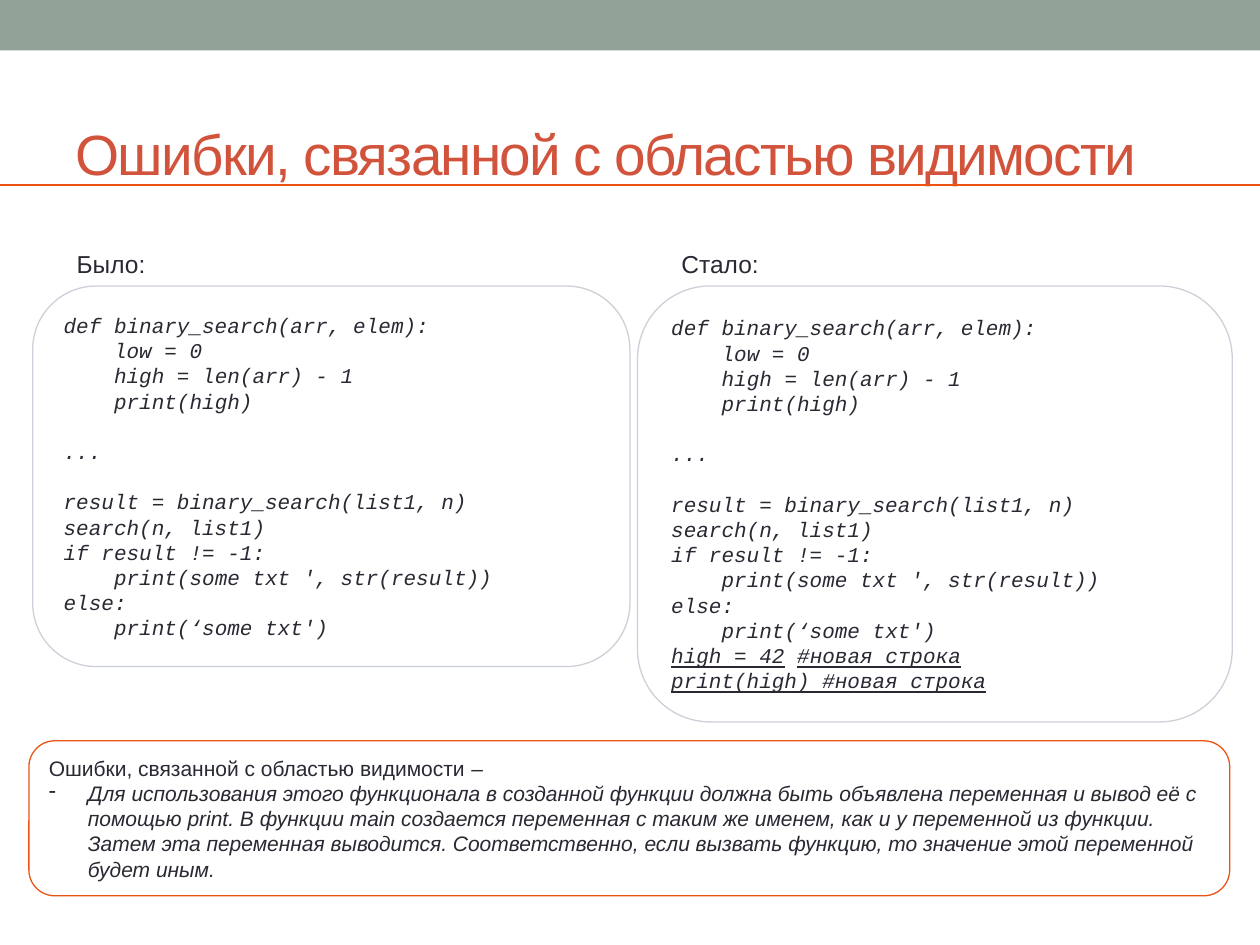
from lxml.etree import SubElement
from pptx import Presentation
from pptx.dml.color import RGBColor
from pptx.enum.shapes import MSO_CONNECTOR, MSO_SHAPE
from pptx.enum.text import MSO_ANCHOR, MSO_AUTO_SIZE, PP_ALIGN
from pptx.oxml.ns import qn
from pptx.util import Inches, Pt

TEXT = "292934"
ORANGE = "EC5214"
LINE_PITCH = 14.4
CODE_INDENT = 0.4

CODE_LINES = [
    (0, "def binary_search(arr, elem):"),
    (1, "low = 0"),
    (1, "high = len(arr) - 1"),
    (1, "print(high)"),
    (0, "..."),
    (0, "result = binary_search(list1, n)"),
    (0, "search(n, list1)"),
    (0, "if result != -1:"),
    (1, "print(some txt ', str(result))"),
    (0, "else:"),
    (1, "print(‘some txt')"),
]
NEW_LINES = [["high = 42", "\t", "#новая строка"], ["print(high) #новая строка"]]
SECTION_STARTS = ("...", "result")


def color(value):
    return RGBColor.from_string(value)


def add_run(paragraph, text, size=12, font="Arial", fill=TEXT, italic=False, underline=False):
    run = paragraph.add_run()
    run.text = text
    run.font.size = Pt(size)
    run.font.name = font
    run.font.color.rgb = color(fill)
    run.font.italic = italic
    run.font.underline = underline
    return run


def next_paragraph(frame):
    first = frame.paragraphs[0]
    paragraph = first if not first.runs else frame.add_paragraph()
    paragraph.alignment = PP_ALIGN.LEFT
    paragraph.line_spacing = Pt(LINE_PITCH)
    return paragraph


def set_indent(paragraph, left, first=0):
    properties = paragraph._p.get_or_add_pPr()
    properties.set("marL", str(Inches(left)))
    properties.set("indent", str(Inches(first)))
    return properties


def add_title(slide, text):
    title = slide.shapes.title
    title.left, title.top = Inches(0.5), Inches(0.92)
    title.width, title.height = Inches(9), Inches(1.08)
    frame = title.text_frame
    frame.auto_size = MSO_AUTO_SIZE.NONE
    frame.vertical_anchor = MSO_ANCHOR.TOP
    frame.margin_top = Inches(0.02)
    paragraph = frame.paragraphs[0]
    paragraph.alignment = PP_ALIGN.LEFT
    run = add_run(paragraph, text, 32.4, fill="D2533C")
    run.font._element.set("spc", "-100")


def add_band(slide):
    band = slide.shapes.add_shape(MSO_SHAPE.RECTANGLE, 0, 0, Inches(10), Inches(0.4))
    band.shadow.inherit = False
    band.fill.solid()
    band.fill.fore_color.rgb = color("93A299")
    band.line.fill.background()


def add_rule(slide):
    rule = slide.shapes.add_connector(
        MSO_CONNECTOR.STRAIGHT, 0, Inches(1.47), Inches(10), Inches(1.47))
    rule.line.color.rgb = color(ORANGE)
    rule.line.width = Pt(1.5)
    SubElement(rule._element.spPr, qn("a:effectLst"))


def add_label(slide, left, text):
    label = slide.shapes.add_textbox(Inches(left), Inches(1.93), Inches(1.1), Inches(0.34))
    label.text_frame.word_wrap = True
    add_run(label.text_frame.paragraphs[0], text, 14)


def add_panel(slide, left, top, width, height, line):
    panel = slide.shapes.add_shape(
        MSO_SHAPE.FLOWCHART_ALTERNATE_PROCESS,
        Inches(left), Inches(top), Inches(width), Inches(height))
    panel.shadow.inherit = False
    panel.fill.background()
    panel.line.color.rgb = color(line)
    panel.line.width = Pt(0.75)
    panel.text_frame.word_wrap = True
    panel.text_frame.vertical_anchor = MSO_ANCHOR.MIDDLE
    return panel.text_frame


def add_code_panel(slide, left, width, height, new_lines=()):
    frame = add_panel(slide, left, 2.27, width, height, "CCD1D9")
    for level, text in CODE_LINES:
        paragraph = next_paragraph(frame)
        set_indent(paragraph, level * CODE_INDENT)
        if text.startswith(SECTION_STARTS):
            paragraph.space_before = Pt(LINE_PITCH)
        add_run(paragraph, text, font="Courier New", italic=True)
    for pieces in new_lines:
        paragraph = next_paragraph(frame)
        for piece in pieces:
            add_run(paragraph, piece, font="Courier New", italic=True, underline=piece != "\t")


def add_explanation(slide):
    frame = add_panel(slide, 0.23, 5.88, 9.53, 1.23, ORANGE)
    heading = next_paragraph(frame)
    add_run(heading, "Ошибки, связанной с областью видимости ")
    add_run(heading, "–", italic=True)
    item = next_paragraph(frame)
    properties = set_indent(item, 0.31, -0.31)
    SubElement(properties, qn("a:buChar")).set("char", "-")
    add_run(
        item,
        "Для использования этого функционала в созданной функции должна быть объявлена "
        "переменная и вывод её с помощью print. В функции main создается переменная с таким "
        "же именем, как и у переменной из функции. Затем эта переменная выводится. "
        "Соответственно, если вызвать функцию, то значение этой переменной будет иным.",
        italic=True)


def main():
    presentation = Presentation()
    presentation.slide_width = Inches(10)
    presentation.slide_height = Inches(7.5)
    slide = presentation.slides.add_slide(presentation.slide_layouts[5])
    add_band(slide)
    add_title(slide, "Ошибки, связанной с областью видимости")
    add_rule(slide)
    add_code_panel(slide, 0.26, 4.74, 3.02)
    add_code_panel(slide, 5.06, 4.72, 3.46, NEW_LINES)
    add_label(slide, 0.51, "Было:")
    add_label(slide, 5.31, "Стало:")
    add_explanation(slide)
    presentation.save("out.pptx")


if __name__ == "__main__":
    main()
